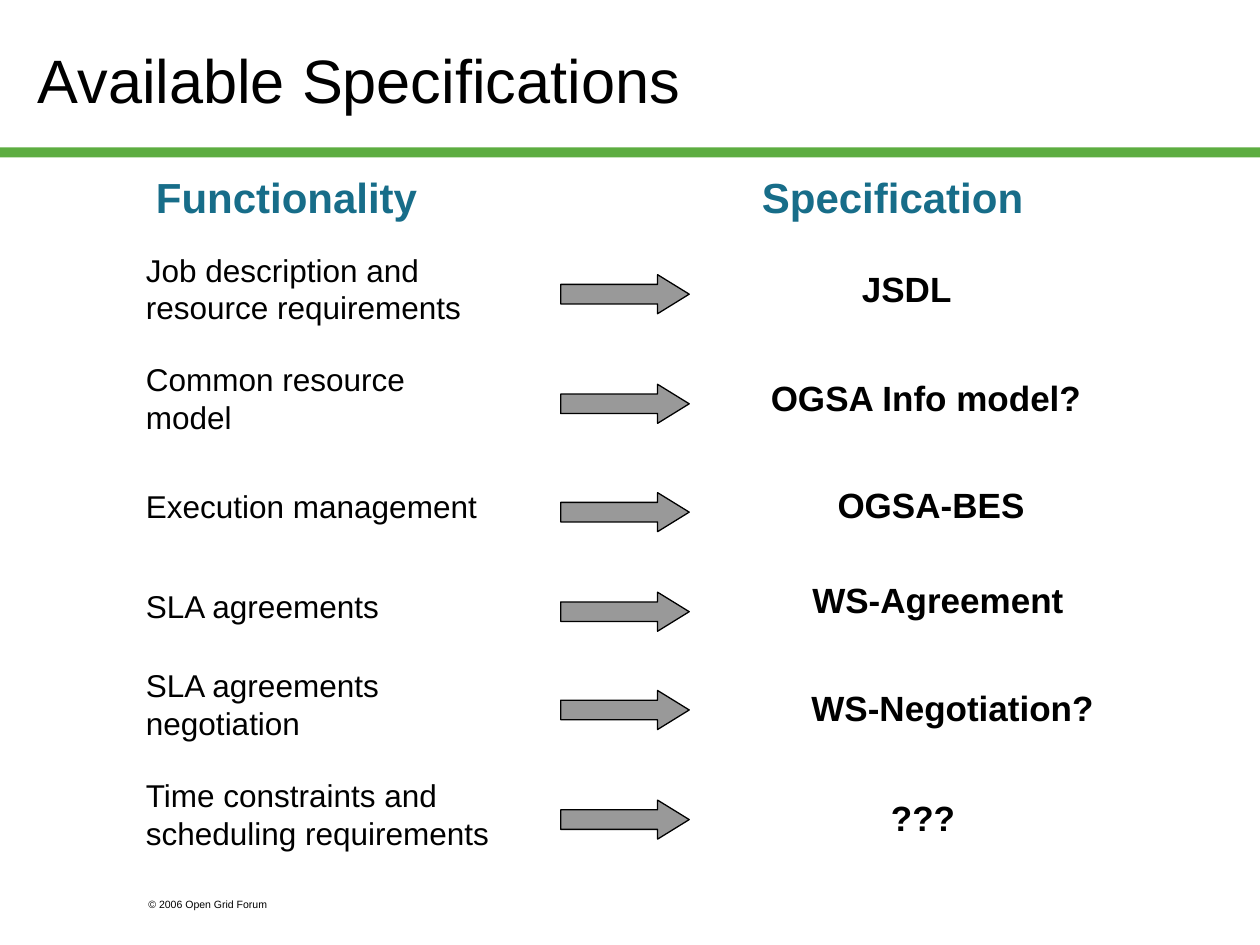
import pptx
import pptx.util
import pptx.dml.color
import pptx.enum.shapes
import pptx.enum.text
import pptx.oxml.ns
import lxml.etree

Inches = pptx.util.Inches
Pt = pptx.util.Pt
ALIGN = pptx.enum.text.PP_ALIGN
ANCHOR = pptx.enum.text.MSO_ANCHOR
FIT = pptx.enum.text.MSO_AUTO_SIZE
SHAPE = pptx.enum.shapes.MSO_SHAPE

COLORS = {"ink": "000000", "head": "176D89", "rule": "5DAD41", "arrow": "808080"}

FONTS = {
    "title": {"size": Pt(35), "bold": False},
    "head": {"size": Pt(24), "bold": True},
    "task": {"size": Pt(18), "bold": False},
    "spec": {"size": Pt(20), "bold": True},
    "foot": {"size": Pt(6), "bold": False},
}

# task, width, lines, arrow top, then spec, left, top, width
ROWS = [
    ("Job description and resource requirements", 2.91, 2, 2.18, "JSDL", 6.74, 2.07, 0.91),
    ("Common resource model", 2.91, 2, 3.05, "OGSA Info model?", 6.01, 2.94, 2.67),
    ("Execution management", 2.91, 1, 3.91, "OGSA-BES", 6.55, 3.79, 1.68),
    ("SLA agreements", 2.91, 1, 4.7, "WS-Agreement", 6.35, 4.54, 2.19),
    ("SLA agreements negotiation", 2.91, 2, 5.48, "WS-Negotiation?", 6.34, 5.4, 2.44),
    ("Time constraints and scheduling requirements", 3.07, 2, 6.35, "???", 6.97, 6.27, 0.71),
]


def tint(name):
    return pptx.dml.color.RGBColor.from_string(COLORS[name])


class Deck:
    def __init__(self, slide, face="Arial"):
        self.slide = slide
        self.face = face

    def text(self, words, style, box, color="ink", wrap=True, fit=True):
        """Add a text box; one that does not wrap is flush right, with no left inset so its line fits."""
        frame = self.slide.shapes.add_textbox(*map(Inches, box)).text_frame
        layout = {
            "word_wrap": wrap,
            "margin_left": Inches(0.1 if wrap else 0),
            "auto_size": FIT.SHAPE_TO_FIT_TEXT if fit else FIT.NONE,
            "vertical_anchor": ANCHOR.TOP if fit else ANCHOR.MIDDLE,
        }
        for key, value in layout.items():
            setattr(frame, key, value)
        line = frame.paragraphs[0]
        line.alignment = ALIGN.LEFT if wrap else ALIGN.RIGHT
        run = line.add_run()
        run.text = words
        for key, value in {"name": self.face, **FONTS[style]}.items():
            setattr(run.font, key, value)
        run.font.color.rgb = tint(color)

    def shape(self, kind, box, fill):
        item = self.slide.shapes.add_shape(kind, *map(Inches, box))
        item.shadow.inherit = False
        item.fill.solid()
        item.fill.fore_color.rgb = tint(fill)
        item.line.fill.background()
        return item

    def arrow(self, top):
        item = self.shape(SHAPE.RIGHT_ARROW, (4.45, top, 1.02, 0.31), "arrow")
        item.adjustments[0] = 0.5
        item.adjustments[1] = 0.81
        item.line.color.rgb = tint("ink")
        item.line.width = Pt(0.75)
        qn = pptx.oxml.ns.qn
        shade = item.fill._xPr.find(qn("a:solidFill")).find(qn("a:srgbClr"))
        lxml.etree.SubElement(shade, qn("a:alpha")).set("val", "80000")


def main():
    show = pptx.Presentation()
    show.slide_width = Inches(10)
    show.slide_height = Inches(7.5)
    deck = Deck(show.slides.add_slide(show.slide_layouts[6]))

    deck.shape(SHAPE.RECTANGLE, (0, 1.17, 10, 0.08), "rule")
    deck.text("© 2006 Open Grid Forum", "foot", (1.08, 7.08, 1.5, 0.2))
    deck.text("Available Specifications", "title", (0.2, 0, 8.5, 1.25), fit=False)
    for words, left in (("Functionality", 1.14), ("Specification", 5.95)):
        deck.text(words, "head", (left, 1.31, 2.27, 0.5), "head", wrap=False)

    for task, width, lines, top, spec, left, spec_top, spec_width in ROWS:
        high = 0.1 + 0.3 * lines
        deck.text(task, "task", (1.06, top + 0.11 - high / 2, width, high))
        deck.text(spec, "spec", (left, spec_top, spec_width, 0.44), wrap=False)
        deck.arrow(top)

    show.save("out.pptx")


if __name__ == "__main__":
    main()
